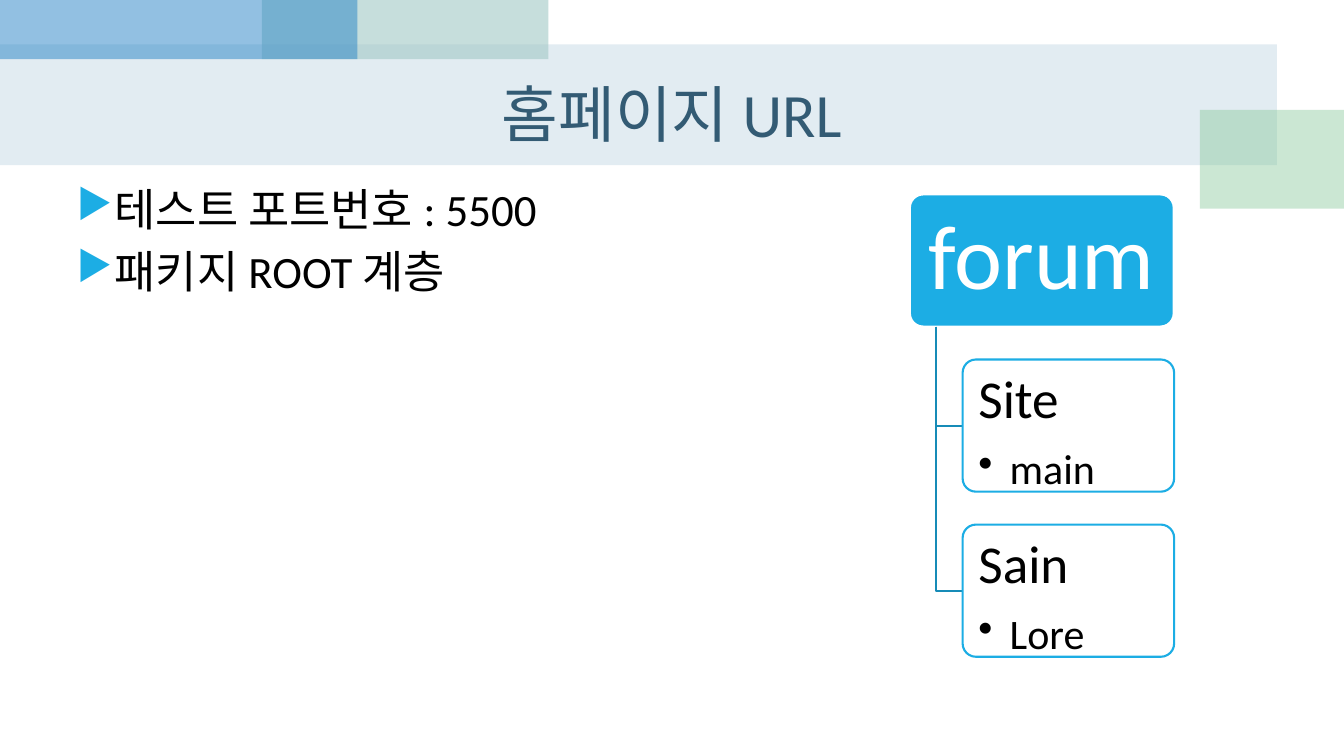
from lxml import etree
from pptx import Presentation
from pptx import util as u
from pptx.dml.color import RGBColor
from pptx.enum import shapes, text
from pptx.oxml.ns import qn

FONT = "Calibri"
COLORS = {
    "band": "A0C1D5", "green": "7EC492", "teal": "A1C8C5", "blue": "2683C6",
    "title": "335B74", "accent": "1CADE4", "branch": "168BB7",
    "white": "FFFFFF", "black": "000000",
}


def rgb(name):
    """Return the palette colour called name."""
    return RGBColor.from_string(COLORS[name])


def add_bullet(p, char, indent, color=None, size=None):
    """Give a paragraph a hanging bullet; indent in cm, size in percent."""
    pPr = p._p.get_or_add_pPr()
    pPr.set("marL", str(u.Cm(indent)))
    pPr.set("indent", str(-u.Cm(indent)))
    if color:
        clr = etree.SubElement(pPr, qn("a:buClr"))
        etree.SubElement(clr, qn("a:srgbClr"), val=COLORS[color])
    if size:
        etree.SubElement(pPr, qn("a:buSzPct"), val=str(size * 1000))
    etree.SubElement(pPr, qn("a:buChar"), char=char)


def write(tf, words, size, color="black", align=text.PP_ALIGN.LEFT,
          first=True, line=1.0, before=0, after=0, bullet=None):
    """Write one formatted paragraph into a text frame."""
    p = tf.paragraphs[0] if first else tf.add_paragraph()
    p.alignment, p.line_spacing = align, line
    p.space_before, p.space_after = u.Pt(before), u.Pt(after)
    if bullet:
        add_bullet(p, **bullet)
    r = p.add_run()
    r.text = words
    r.font.size, r.font.name = u.Pt(size), FONT
    r.font.color.rgb = rgb(color)


def set_frame(tf, anchor, inset_x=0.25, inset_y=0.13):
    """Set wrapping, anchor and insets (cm) of a text frame."""
    tf.word_wrap, tf.auto_size = True, text.MSO_AUTO_SIZE.NONE
    tf.vertical_anchor = anchor
    tf.margin_left = tf.margin_right = u.Cm(inset_x)
    tf.margin_top = tf.margin_bottom = u.Cm(inset_y)


class Deck:
    """Holds the style and the current slide."""

    def __init__(self):
        """Start a wide presentation with one title-only slide."""
        self.prs = Presentation()
        self.prs.slide_width, self.prs.slide_height = u.Cm(33.87), u.Cm(19.05)
        self.s = self.prs.slides.add_slide(self.prs.slide_layouts[5])

    def shape(self, kind, box, fill, alpha=100, line=None):
        """Add a filled preset shape; box is left, top, width, height in cm."""
        sp = self.s.shapes.add_shape(kind, *map(u.Cm, box))
        sp.shadow.inherit = False
        sp.fill.solid()
        sp.fill.fore_color.rgb = rgb(fill)
        if alpha < 100:
            clr = sp._element.spPr.find(".//" + qn("a:srgbClr"))
            etree.SubElement(clr, qn("a:alpha"), val=str(alpha * 1000))
        if line:
            sp.line.color.rgb, sp.line.width = rgb(line), u.Pt(1.5)
        else:
            sp.line.fill.background()
        return sp

    def title(self, words, box):
        """Place the title above the bands drawn so far."""
        sp = self.s.shapes.title
        self.s.shapes._spTree.append(sp._element)
        sp.left, sp.top, sp.width, sp.height = map(u.Cm, box)
        set_frame(sp.text_frame, text.MSO_ANCHOR.MIDDLE)
        write(sp.text_frame, words, 44, "title", text.PP_ALIGN.CENTER)

    def bullets(self, items, box):
        """Add the list of main points."""
        tf = self.s.shapes.add_textbox(*map(u.Cm, box)).text_frame
        set_frame(tf, text.MSO_ANCHOR.TOP)
        for i, item in enumerate(items):
            write(tf, item, 32, first=i == 0, before=6,
                  bullet=dict(char="▶", indent=0.95, color="accent", size=90))

    def node(self, box, fill, line, alpha=100):
        """Add a rounded tree node and return its text frame."""
        sp = self.shape(shapes.MSO_SHAPE.ROUNDED_RECTANGLE, box, fill, alpha, line)
        sp.adjustments[0] = 0.1
        return sp.text_frame

    def root(self, words, box):
        """Add the root node."""
        tf = self.node(box, "accent", "white")
        set_frame(tf, text.MSO_ANCHOR.MIDDLE)
        write(tf, words, 65, "white", text.PP_ALIGN.CENTER, line=0.9)

    def child(self, name, item, box):
        """Add a child node with its name and one bulleted item."""
        tf = self.node(box, "white", "accent", 90)
        set_frame(tf, text.MSO_ANCHOR.TOP, 0.3, 0.23)
        write(tf, name, 38, line=0.9, after=13)
        write(tf, item, 30, first=False, line=0.9,
              bullet=dict(char="•", indent=0.79))

    def branch(self, x, top, right, bottom):
        """Draw an angled branch line down and then right."""
        fb = self.s.shapes.build_freeform(u.Cm(x), u.Cm(top))
        fb.add_line_segments([(u.Cm(x), u.Cm(bottom)), (u.Cm(right), u.Cm(bottom))],
                             close=False)
        sp = fb.convert_to_shape()
        sp.shadow.inherit = False
        sp.fill.background()
        sp.line.color.rgb, sp.line.width = rgb("branch"), u.Pt(1.5)


deck = Deck()
BANDS = [
    ((0, 1.12, 32.18, 3.04), "band", 30),
    ((30.24, 2.77, 3.63, 2.49), "green", 40),
    ((6.6, 0, 7.22, 1.49), "teal", 60),
    ((0, 0, 9.01, 1.49), "blue", 50),
]
for box, color, alpha in BANDS:
    deck.shape(shapes.MSO_SHAPE.RECTANGLE, box, color, alpha)

deck.title("홈페이지 URL", (1.69, 1.5, 30.48, 2.67))
deck.bullets(["테스트 포트번호 : 5500", "패키지 ROOT 계층"], (1.69, 4.45, 30.48, 12.57))

ROOT_X, ROOT_Y, ROOT_W, NODE_H = 22.93, 4.9, 6.65, 3.33
CHILD_X, CHILD_W, PITCH = 24.26, 5.33, 4.16
deck.root("forum", (ROOT_X, ROOT_Y, ROOT_W, NODE_H))
for i, (name, item) in enumerate([("Site", "main"), ("Sain", "Lore")], start=1):
    top = ROOT_Y + i * PITCH
    deck.branch(ROOT_X + ROOT_W / 10, ROOT_Y + NODE_H, CHILD_X, top + NODE_H / 2)
    deck.child(name, item, (CHILD_X, top, CHILD_W, NODE_H))

deck.prs.save("out.pptx")
